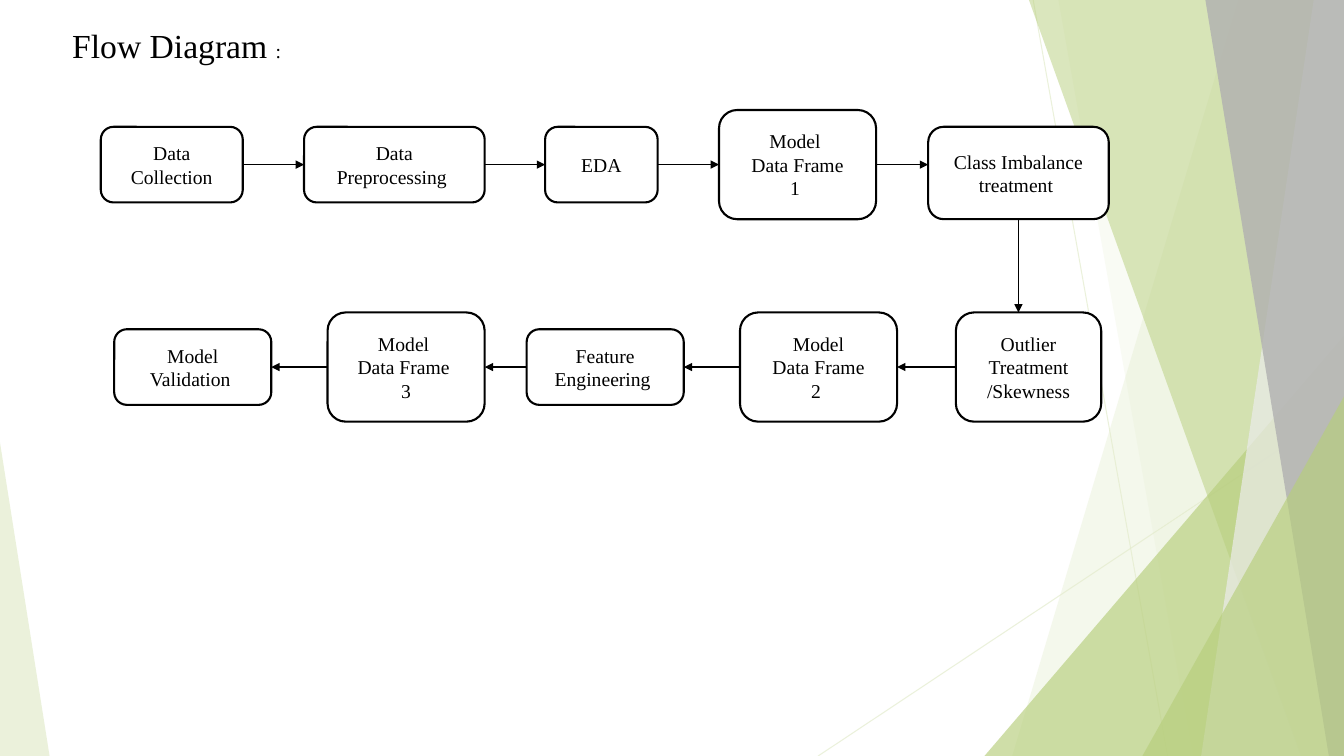
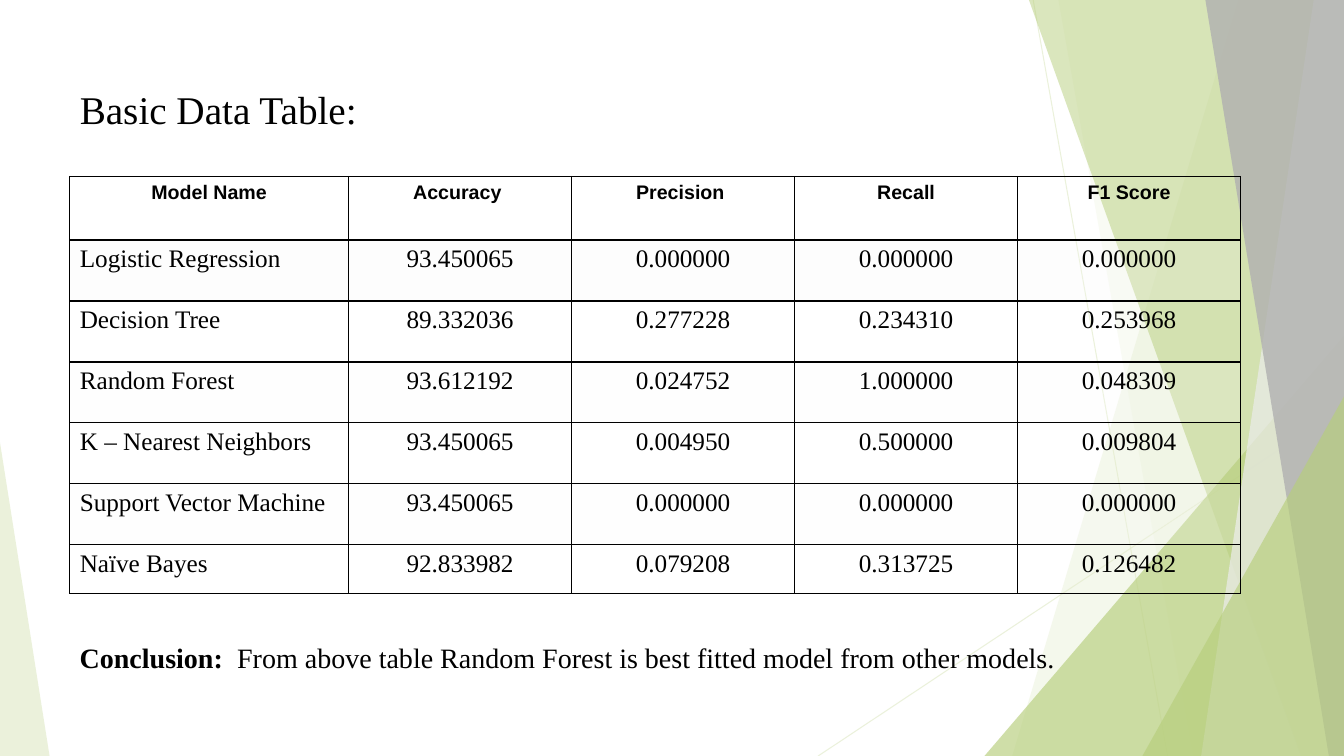
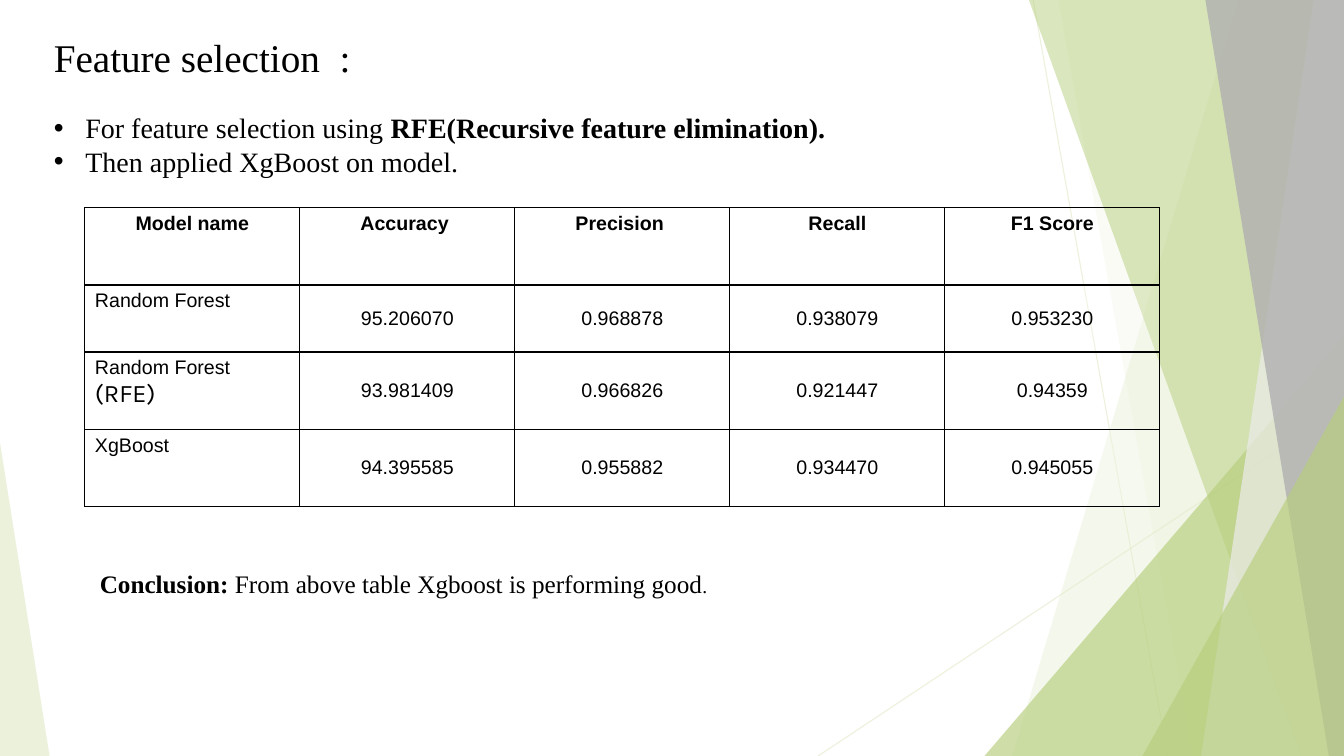
import dataclasses
import functools
import itertools
import typing

import lxml.etree
import pptx
import pptx.dml.color
import pptx.enum.shapes
import pptx.enum.text
import pptx.oxml.ns
import pptx.util

COLUMNS, ROWS = 160, 90
UNIT = pptx.util.Inches(7.5) // ROWS
SERIF, SANS = "Times New Roman", "Arial"
BLACK, WHITE = "000000", "FFFFFF"
LIGHT_GREEN, GREEN, PALE_GRAY, GRAY = "E3ECCC", "B7CE7C", "EBEBEB", "B0B0B0"
ALIGN = pptx.enum.text.PP_ALIGN
ANCHOR = pptx.enum.text.MSO_ANCHOR
SHAPE = pptx.enum.shapes.MSO_SHAPE
STRAIGHT = pptx.enum.shapes.MSO_CONNECTOR.STRAIGHT
qualified = pptx.oxml.ns.qn


class Area(typing.NamedTuple):
    left: float
    top: float
    width: float
    height: float


@dataclasses.dataclass(frozen=True)
class Run:
    text: str
    size: float
    bold: bool = False
    name: str = SERIF


@dataclasses.dataclass(frozen=True)
class Ray:
    start: tuple[float, float]
    end: tuple[float, float]


@dataclasses.dataclass(frozen=True)
class Band:
    top_column: float
    bottom_column: float
    color: str
    opacity: int


@dataclasses.dataclass(frozen=True)
class Wedge:
    area: Area
    peak: float
    color: str
    opacity: int


@dataclasses.dataclass(frozen=True)
class Step:
    text: str
    left: float
    middle: float
    width: float
    height: float

    @property
    def right(self) -> float:
        return self.left + self.width

    @property
    def bottom(self) -> float:
        return self.middle + self.height / 2


@dataclasses.dataclass(frozen=True)
class Grid:
    left: float
    top: float
    widths: list[float]
    heights: list[float]
    rows: list[list[str]]
    fills: dict[int, str]
    body: Run
    value_anchor: typing.Any


Lines = list[list[Run]]

DECORATION = [
    Ray((123, 0), (139, 90)),
    Ray((160, 48.4), (97.4, 90)),
    Band(147.4, 120.5, LIGHT_GREEN, 36),
    Band(126, 142, LIGHT_GREEN, 20),
    Wedge(Area(117.2, 40, 42.8, 50), 1, GREEN, 66),
    Band(122.5, 154.9, GREEN, 50),
    Band(156.4, 143, PALE_GRAY, 70),
    Band(143.5, 158.2, GRAY, 80),
    Wedge(Area(136, 47.2, 24, 42.8), 1, GREEN, 66),
    Wedge(Area(0, 52.7, 5.9, 37.3), 0, LIGHT_GREEN, 70),
]

UPPER, LOWER = 19.6, 43.7
STEPS = [
    Step("Data\nCollection", 12, UPPER, 16.9, 9),
    Step("Data\nPreprocessing ", 36.2, UPPER, 21.5, 9),
    Step("EDA", 64.9, UPPER, 13.4, 9),
    Step("Model \nData Frame\n1 ", 85.6, UPPER, 18.7, 13),
    Step("Class Imbalance treatment ", 110.5, UPPER + 1, 21.5, 11),
    Step("Outlier Treatment /Skewness", 113.8, LOWER, 17.3, 13),
    Step("Model\nData Frame\n2 ", 88.1, LOWER, 18.7, 13),
    Step("Feature\nEngineering ", 62.7, LOWER, 18.7, 9),
    Step("Model \nData Frame \n3", 39, LOWER, 18.7, 13),
    Step("Model\nValidation ", 13.6, LOWER, 18.7, 9),
]

MEASURES = ["Accuracy ", "Precision ", "Recall", "F1 Score"]
BASIC_MODELS = Grid(
    8.3, 21, [33.2] + [26.55] * 4, [7.6] + [7.25] * 5 + [5.8],
    [
        ["Model Name", *MEASURES],
        ["Logistic Regression", "93.450065", "0.000000", "0.000000", "0.000000"],
        ["Decision Tree", "89.332036", "0.277228", "0.234310", "0.253968"],
        ["Random Forest", "93.612192", "0.024752", "1.000000", "0.048309"],
        ["K – Nearest Neighbors", "93.450065", "0.004950", "0.500000", "0.009804"],
        ["Support Vector Machine", "93.450065", "0.000000", "0.000000", "0.000000"],
        ["Naïve Bayes", "92.833982", "0.079208", "0.313725", "0.126482"],
    ],
    {1: "F7F7F7", 3: "FBFBFB", 5: "FBFBFB"}, Run("", 18), ANCHOR.TOP,
)
SELECTED_MODELS = Grid(
    10.1, 24.7, [25.6] * 5, [9.2, 8, 9.2, 9.2],
    [
        ["Model name", *MEASURES],
        ["Random Forest", "95.206070", "0.968878", "0.938079", "0.953230"],
        ["Random Forest\n(RFE)", "93.981409", "0.966826", "0.921447", "0.94359"],
        ["XgBoost", "94.395585", "0.955882", "0.934470", "0.945055"],
    ],
    {1: WHITE, 3: WHITE}, Run("", 14, name=SANS), ANCHOR.MIDDLE,
)


def span(units: float) -> pptx.util.Emu:
    return pptx.util.Emu(round(units * UNIT))


def color(value: str) -> pptx.dml.color.RGBColor:
    return pptx.dml.color.RGBColor.from_string(value)


def apply(target: typing.Any, values: dict[str, typing.Any]) -> None:
    for name, value in values.items():
        setattr(target, name, value)


def fill_solid(fill: typing.Any, value: str) -> None:
    fill.solid()
    fill.fore_color.rgb = color(value)


def set_opacity(element: typing.Any, percent: int) -> None:
    for tint in element.iter(qualified("a:srgbClr")):
        lxml.etree.SubElement(tint, qualified("a:alpha"), val=str(percent * 1000))


def write(frame: typing.Any, lines: Lines, alignment: typing.Any = ALIGN.LEFT) -> None:
    for index, runs in enumerate(lines):
        paragraph = frame.add_paragraph() if index else frame.paragraphs[0]
        apply(paragraph, {"alignment": alignment, "space_before": pptx.util.Pt(0)})
        for content in runs:
            run = paragraph.add_run()
            run.text = content.text
            apply(run.font, {
                "size": pptx.util.Pt(content.size),
                "bold": content.bold,
                "name": content.name,
            })
            run.font.color.rgb = color(BLACK)


def place_text(shape: typing.Any, area: Area, lines: Lines) -> None:
    apply(shape, {name: span(value) for name, value in area._asdict().items()})
    apply(shape.text_frame, {
        "word_wrap": True,
        "auto_size": pptx.enum.text.MSO_AUTO_SIZE.NONE,
        "vertical_anchor": ANCHOR.TOP,
    })
    write(shape.text_frame, lines)


def add_note(slide: typing.Any, area: Area, lines: Lines) -> None:
    place_text(slide.shapes.add_textbox(0, 0, 0, 0), area, lines)


def add_line(slide: typing.Any, start: tuple[float, float], end: tuple[float, float],
             value: str, width: float) -> typing.Any:
    connector = slide.shapes.add_connector(STRAIGHT, *map(span, (*start, *end)))
    fill_solid(connector.line.fill, value)
    connector.line.width = pptx.util.Pt(width)
    properties = connector.element.find(qualified("p:spPr"))
    lxml.etree.SubElement(properties, qualified("a:effectLst"))
    return connector


def finish_decoration(shape: typing.Any, part: Band | Wedge) -> typing.Any:
    shape.shadow.inherit = False
    fill_solid(shape.fill, part.color)
    set_opacity(shape.element, part.opacity)
    shape.line.fill.background()
    return shape


@functools.singledispatch
def draw(part: typing.Any, slide: typing.Any) -> typing.Any:
    raise TypeError(part)


@draw.register
def draw_ray(part: Ray, slide: typing.Any) -> typing.Any:
    connector = add_line(slide, part.start, part.end, LIGHT_GREEN, 0.75)
    set_opacity(connector.element, 70)
    return connector


@draw.register
def draw_band(part: Band, slide: typing.Any) -> typing.Any:
    builder = slide.shapes.build_freeform(span(part.top_column), 0)
    corners = [(COLUMNS, 0), (COLUMNS, ROWS), (part.bottom_column, ROWS)]
    builder.add_line_segments([(span(x), span(y)) for x, y in corners])
    return finish_decoration(builder.convert_to_shape(), part)


@draw.register
def draw_wedge(part: Wedge, slide: typing.Any) -> typing.Any:
    shape = slide.shapes.add_shape(SHAPE.ISOSCELES_TRIANGLE, *map(span, part.area))
    shape.adjustments[0] = part.peak
    return finish_decoration(shape, part)


def decorate_master(presentation: typing.Any, slide: typing.Any) -> None:
    tree = presentation.slide_master.shapes.element
    for index, part in enumerate(DECORATION):
        element = draw(part, slide).element
        next(element.iter(qualified("p:cNvPr"))).set("id", str(100 + index))
        tree.insert(2 + index, element)


def add_step(slide: typing.Any, step: Step) -> None:
    top = step.middle - step.height / 2
    area = Area(step.left, top, step.width, step.height)
    shape = slide.shapes.add_shape(SHAPE.ROUNDED_RECTANGLE, *map(span, area))
    shape.shadow.inherit = False
    fill_solid(shape.fill, WHITE)
    fill_solid(shape.line.fill, BLACK)
    shape.line.width = pptx.util.Pt(1.5)
    apply(shape.text_frame, {"word_wrap": True, "vertical_anchor": ANCHOR.MIDDLE})
    write(shape.text_frame, [[Run(text, 14)] for text in step.text.split("\n")], ALIGN.CENTER)


def add_arrow(slide: typing.Any, source: Step, target: Step) -> None:
    level = min(source.middle, target.middle)
    if target.middle - source.middle > source.height:
        center = source.left + source.width / 2
        start, end = (center, source.bottom), (center, target.middle - target.height / 2)
    elif target.left > source.left:
        start, end = (source.right, level), (target.left, level)
    else:
        start, end = (source.left, level), (target.right, level)
    connector = add_line(slide, start, end, BLACK, 1)
    outline = next(connector.element.iter(qualified("a:ln")))
    lxml.etree.SubElement(outline, qualified("a:tailEnd"), type="triangle")


def set_borders(cell: typing.Any, bottom_width: float) -> None:
    properties = cell._tc.get_or_add_tcPr()
    for index, side in enumerate("LRTB"):
        width = pptx.util.Pt(bottom_width if side == "B" else 1)
        border = lxml.etree.Element(qualified(f"a:ln{side}"), w=str(width))
        fill = lxml.etree.SubElement(border, qualified("a:solidFill"))
        lxml.etree.SubElement(fill, qualified("a:srgbClr"), val=BLACK)
        properties.insert(index, border)


def cell_lines(text: str, style: Run) -> Lines:
    first, *others = text.split("\n")
    lines = [[dataclasses.replace(style, text=first)]]
    return lines + [[Run(other, 18, name="Karla")] for other in others]


def add_grid(slide: typing.Any, grid: Grid) -> None:
    area = Area(grid.left, grid.top, sum(grid.widths), sum(grid.heights))
    table = slide.shapes.add_table(
        len(grid.rows), len(grid.widths), *map(span, area)).table
    apply(table, {"first_row": False, "horz_banding": False})
    for column, width in zip(table.columns, grid.widths):
        column.width = span(width)
    for row, height in zip(table.rows, grid.heights):
        row.height = span(height)
    for row, texts in enumerate(grid.rows):
        for column, text in enumerate(texts):
            cell = table.cell(row, column)
            if row in grid.fills:
                fill_solid(cell.fill, grid.fills[row])
                set_opacity(cell._tc, 20)
            else:
                cell.fill.background()
            set_borders(cell, 1 if row else 2)
            is_value = row > 0 and column > 0
            cell.vertical_anchor = grid.value_anchor if is_value else ANCHOR.TOP
            style = grid.body if row else Run("", 14, True, SANS)
            alignment = ALIGN.LEFT if row and not column else ALIGN.CENTER
            write(cell.text_frame, cell_lines(text, style), alignment)


def add_slide(presentation: typing.Any, layout: str, area: Area, title: list[Run]) -> typing.Any:
    slide = presentation.slides.add_slide(presentation.slide_layouts.get_by_name(layout))
    place_text(slide.shapes.title, area, [title])
    return slide


def add_flow_slide(presentation: typing.Any) -> None:
    slide = add_slide(presentation, "Title Only", Area(7.4, 2.4, 39.1, 6),
                      [Run("Flow Diagram ", 24), Run(":", 14)])
    decorate_master(presentation, slide)
    for step in STEPS:
        add_step(slide, step)
    for source, target in itertools.pairwise(STEPS):
        add_arrow(slide, source, target)


def add_basic_slide(presentation: typing.Any) -> None:
    slide = add_slide(presentation, "Title Only", Area(8.3, 9.5, 37.6, 6.8),
                      [Run("Basic Data Table:", 28)])
    add_grid(slide, BASIC_MODELS)
    add_note(slide, Area(8.3, 75.7, 136, 5.3), [[
        Run("Conclusion:  ", 20, True),
        Run("From above table Random Forest is best fitted model from other models.", 20),
    ]])


def add_selection_slide(presentation: typing.Any) -> None:
    slide = add_slide(presentation, "Title and Content", Area(5.2, 3.4, 67.3, 6.8),
                      [Run("Feature selection  :", 28)])
    body = slide.placeholders[1]
    place_text(body, Area(5.2, 12.6, 111, 12.1), [
        [Run("For feature selection using ", 20),
         Run("RFE(Recursive feature elimination).", 20, True)],
        [Run("Then applied XgBoost on model.", 20)],
    ])
    indent = span(3.75)
    for paragraph in body.text_frame.paragraphs:
        properties = paragraph._p.get_or_add_pPr()
        for name, value in {"marL": indent, "indent": -indent}.items():
            properties.set(name, str(value))
    add_grid(slide, SELECTED_MODELS)
    add_note(slide, Area(10.7, 67.1, 134.8, 4.8), [[
        Run("Conclusion: ", 18, True),
        Run("From above table Xgboost is performing good", 18),
        Run(".", 14),
    ]])


def main() -> None:
    presentation = pptx.Presentation()
    apply(presentation, {"slide_width": span(COLUMNS), "slide_height": span(ROWS)})
    add_flow_slide(presentation)
    add_basic_slide(presentation)
    add_selection_slide(presentation)
    presentation.save("out.pptx")


if __name__ == "__main__":
    main()
